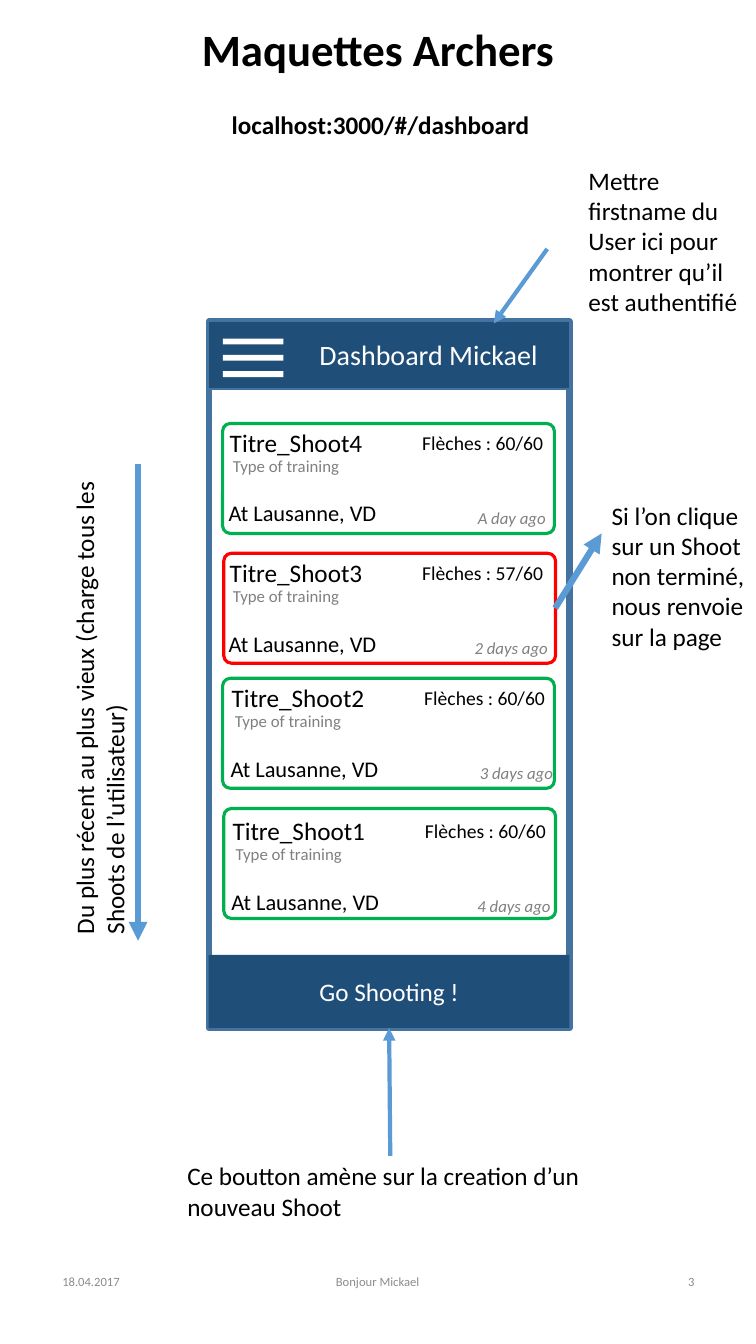
from lxml import etree
from pptx import Presentation
from pptx.dml.color import RGBColor
from pptx.enum.shapes import MSO_CONNECTOR, MSO_SHAPE
from pptx.enum.text import MSO_ANCHOR, MSO_AUTO_SIZE, PP_ALIGN
from pptx.oxml.ns import qn
from pptx.util import Cm, Pt

FONT = "Calibri"
BLACK = RGBColor(0x00, 0x00, 0x00)
WHITE = RGBColor(0xFF, 0xFF, 0xFF)
GREY = RGBColor(0x80, 0x80, 0x80)
FOOTER_GREY = RGBColor(0x8C, 0x8C, 0x8C)
NAVY = RGBColor(0x1F, 0x4E, 0x79)
FRAME_BLUE = RGBColor(0x43, 0x73, 0x9E)
ARROW_BLUE = RGBColor(0x5B, 0x9B, 0xD5)
GREEN = RGBColor(0x00, 0xB0, 0x50)
RED = RGBColor(0xFF, 0x00, 0x00)

LEFT, CENTER, RIGHT = PP_ALIGN.LEFT, PP_ALIGN.CENTER, PP_ALIGN.RIGHT
TOP, MIDDLE = MSO_ANCHOR.TOP, MSO_ANCHOR.MIDDLE
RECTANGLE, ROUNDED = MSO_SHAPE.RECTANGLE, MSO_SHAPE.ROUNDED_RECTANGLE
STRAIGHT = MSO_CONNECTOR.STRAIGHT
NO_AUTOFIT = MSO_AUTO_SIZE.NONE

# Card left and top, text left and top, offset of the age, outline, number, score, age
CARDS = [
    (5.61, 10.67, 5.54, 10.64, 6.25, GREEN, 4, 60, "A day ago"),
    (5.64, 13.94, 5.54, 13.92, 6.17, RED, 3, 57, "2 days ago"),
    (5.61, 17.09, 5.59, 17.07, 6.25, GREEN, 2, 60, "3 days ago"),
    (5.64, 20.37, 5.61, 20.42, 6.17, GREEN, 1, 60, "4 days ago"),
]


def place(box):
    return [Cm(length) for length in box]


def write(shape, text, size, color=BLACK, align=LEFT, anchor=TOP, bold=False, italic=False):
    frame = shape.text_frame
    frame.text = text
    frame.word_wrap = True
    frame.auto_size = NO_AUTOFIT
    frame.vertical_anchor = anchor
    para = frame.paragraphs[0]
    para.alignment = align
    font = para.runs[0].font
    font.name, font.size, font.bold, font.italic = FONT, Pt(size), bold, italic
    font.color.rgb = color


def add_text(page, box, text, size, **style):
    shape = page.shapes.add_textbox(*place(box))
    write(shape, text, size, **style)
    return shape


def add_box(page, box, fill=None, line=None, width=1, kind=RECTANGLE):
    shape = page.shapes.add_shape(kind, *place(box))
    shape.shadow.inherit = False
    if fill is None:
        shape.fill.background()
    else:
        shape.fill.solid()
        shape.fill.fore_color.rgb = fill
    if line is None:
        shape.line.fill.background()
    else:
        shape.line.color.rgb = line
        shape.line.width = Pt(width)
    return shape


def add_arrow(page, start, end, width):
    arrow = page.shapes.add_connector(STRAIGHT, *place(start + end))
    arrow.line.color.rgb = ARROW_BLUE
    arrow.line.width = Pt(width)
    etree.SubElement(arrow.line._get_or_add_ln(), qn("a:tailEnd"), type="triangle")
    etree.SubElement(arrow._element.spPr, qn("a:effectLst"))


def add_heading(page, box):
    left, top, width, height = box
    title = page.shapes.title
    title.left, title.top, title.width, title.height = place((left, top, width, height))
    write(title, "Maquettes Archers", 32, align=CENTER, bold=True)
    add_text(page, (left + 4.42, top + 2.19, 13.18, 1.02),
             "localhost:3000/#/dashboard", 18, bold=True)


def add_phone(page, box):
    left, top, width, height = box
    button_height = 1.84
    add_box(page, box, line=FRAME_BLUE, width=4.5)
    # Header with menu icon
    add_box(page, (left, top, width, 1.7), fill=NAVY, line=FRAME_BLUE)
    add_text(page, (left + 2.54, top + 0.28, 10.64, 1.12), "Dashboard Mickael", 20, color=WHITE)
    for bar in range(3):
        add_box(page, (left + 0.36, top + 0.43 + bar * 0.41, 1.52, 0.15), fill=WHITE)
    # Bottom button
    button = add_box(page, (left, top + height - button_height, width, button_height), fill=NAVY)
    write(button, "Go Shooting !", 18, color=WHITE, align=CENTER, anchor=MIDDLE)


def add_card(page, box, text_left, text_top, age_offset, outline, number, score, age):
    card = add_box(page, box, line=outline, width=2.25, kind=ROUNDED)
    card.adjustments[0] = 0.07
    parts = [
        (0, 0, 5.69, f"Titre_Shoot{number}", 18, {}),
        (0.08, 0.71, 3.68, "Type of training", 12, {"color": GREY}),
        (-0.03, 1.82, 5.05, "At Lausanne, VD", 16, {}),
        (4.85, 0.08, 3.91, f"Flèches : {score}/60", 14, {}),
        (age_offset, 2.03, 2.57, age, 12, {"color": GREY, "italic": True}),
    ]
    for across, down, width, text, size, style in parts:
        add_text(page, (text_left + across, text_top + down, width, size * 0.057), text, size, **style)


def add_notes_around(page, box):
    left, top, width, height = box
    right, bottom = left + width, top + height
    middle = left + width / 2
    # User name
    add_arrow(page, (right - 0.56, top - 1.83), (right - 1.91, top + 0.05), 3)
    add_text(page, (right + 0.23, top - 4.06, 4.47, 4.11),
             "Mettre firstname du User ici pour montrer qu’il est authentifié", 18)
    # Unfinished shoot
    add_arrow(page, (right - 0.36, top + 7.22), (right + 0.81, top + 5.34), 4.5)
    add_text(page, (right + 0.81, top + 4.37, 3.89, 4.11),
             "Si l’on clique sur un Shoot non terminé, nous renvoie sur la page", 18)
    # Sort order
    add_arrow(page, (left - 1.78, top + 3.58), (left - 1.78, top + 15.6), 4.5)
    order = add_text(page, (left - 8.77, top + 8.77, 12.04, 1.8),
                     "Du plus récent au plus vieux (charge tous les Shoots de l’utilisateur)", 18)
    order.rotation = 270
    # Creation button
    add_arrow(page, (middle + 0.03, bottom + 3.22), (middle, bottom), 3)
    add_text(page, (left - 0.79, bottom + 3.22, 10.69, 1.8),
             "Ce boutton amène sur la creation d’un nouveau Shoot", 18)


def add_footer(page, box):
    left, top, width, height = box
    side = 4.29
    parts = [
        (left, side, "18.04.2017", LEFT),
        (left + 4.98, 6.43, "Bonjour Mickael", CENTER),
        (left + width - side, side, "3", RIGHT),
    ]
    for part_left, part_width, text, align in parts:
        add_text(page, (part_left, top, part_width, height), text, 9,
                 color=FOOTER_GREY, align=align, anchor=MIDDLE)


def main():
    deck = Presentation()
    deck.slide_width, deck.slide_height = Cm(19.05), Cm(33.86)
    page = deck.slides.add_slide(deck.slide_layouts[5])
    phone = (5.26, 8.1, 9.09, 17.8)
    add_heading(page, (1.17, 0.43, 16.71, 1.63))
    add_phone(page, phone)
    for left, top, *content in CARDS:
        add_card(page, (left, top, 8.36, 2.77), *content)
    add_notes_around(page, phone)
    add_footer(page, (1.32, 31.39, 16.43, 1.8))
    deck.save("out.pptx")


if __name__ == "__main__":
    main()
